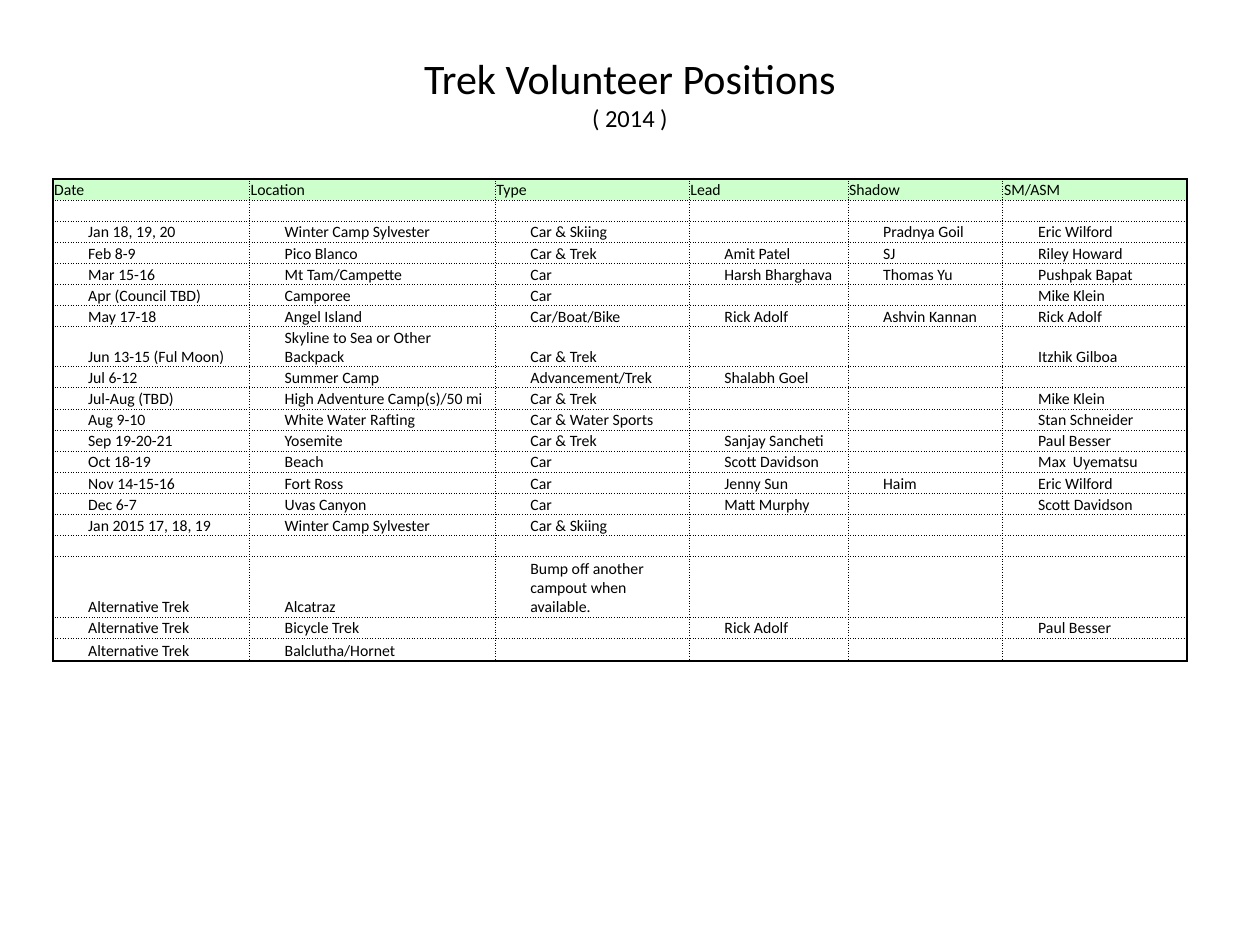
from lxml import etree
from pptx import Presentation
from pptx.dml.color import RGBColor
from pptx.enum import text
from pptx.oxml import ns
from pptx.util import Inches, Pt

BLACK = RGBColor(0x00, 0x00, 0x00)
GREEN = RGBColor(0xCC, 0xFF, 0xCC)
FONT = "Calibri"

WIDTHS = [1.56, 1.95, 1.54, 1.26, 1.23, 1.46]
TALL = {7: 0.32, 17: 0.48, 19: 0.18}
TREKS = [
    ["Date", "Location", "Type", "Lead", "Shadow", "SM/ASM"],
    [""] * 6,
    ["Jan 18, 19, 20", "Winter Camp Sylvester", "Car & Skiing", "", "Pradnya Goil", "Eric Wilford"],
    ["Feb 8-9", "Pico Blanco", "Car & Trek", "Amit Patel", "SJ", "Riley Howard"],
    ["Mar 15-16", "Mt Tam/Campette", "Car", "Harsh Bharghava", "Thomas Yu", "Pushpak Bapat"],
    ["Apr (Council TBD)", "Camporee", "Car", "", "", "Mike Klein"],
    ["May 17-18", "Angel Island", "Car/Boat/Bike", "Rick Adolf", "Ashvin Kannan", "Rick Adolf"],
    ["Jun 13-15 (Ful Moon)", "Skyline to Sea or Other Backpack", "Car & Trek", "", "", "Itzhik Gilboa"],
    ["Jul 6-12", "Summer Camp", "Advancement/Trek", "Shalabh Goel", "", ""],
    ["Jul-Aug (TBD)", "High Adventure Camp(s)/50 mi", "Car & Trek", "", "", "Mike Klein"],
    ["Aug 9-10", "White Water Rafting", "Car & Water Sports", "", "", "Stan Schneider"],
    ["Sep 19-20-21", "Yosemite", "Car & Trek", "Sanjay Sancheti", "", "Paul Besser"],
    ["Oct 18-19", "Beach", "Car", "Scott Davidson", "", "Max  Uyematsu"],
    ["Nov 14-15-16", "Fort Ross", "Car", "Jenny Sun", "Haim", "Eric Wilford"],
    ["Dec 6-7", "Uvas Canyon", "Car", "Matt Murphy", "", "Scott Davidson"],
    ["Jan 2015 17, 18, 19", "Winter Camp Sylvester", "Car & Skiing", "", "", ""],
    [""] * 6,
    ["Alternative Trek", "Alcatraz", "Bump off another campout when available.", "", "", ""],
    ["Alternative Trek", "Bicycle Trek", "", "Rick Adolf", "", "Paul Besser"],
    ["Alternative Trek", "Balclutha/Hornet", "", "", "", ""],
]


def style(run, size):
    run.font.name = FONT
    run.font.size = Pt(size)
    run.font.bold = False
    run.font.color.rgb = BLACK


def add_title(slide, left, top, width, height):
    box = slide.shapes.add_textbox(Inches(left), Inches(top), Inches(width), Inches(height))
    frame = box.text_frame
    frame.word_wrap = True
    frame.vertical_anchor = text.MSO_ANCHOR.MIDDLE
    frame.text = "Trek Volunteer Positions\v( 2014 )"
    para = frame.paragraphs[0]
    para.alignment = text.PP_ALIGN.CENTER
    for run, size in zip(para.runs, (24, 14)):
        style(run, size)


def add_edge(cell, side, outer):
    props = cell._tc.get_or_add_tcPr()
    line = etree.SubElement(props, ns.qn("a:ln" + side), w=str(Pt(1 if outer else 0.5)))
    fill = etree.SubElement(line, ns.qn("a:solidFill"))
    etree.SubElement(fill, ns.qn("a:srgbClr"), val=str(BLACK))
    etree.SubElement(line, ns.qn("a:prstDash"), val="solid" if outer else "sysDot")


def fill_cell(cell, words, head):
    cell.margin_left = Inches(0.01 if head else 0.28)
    cell.margin_right = cell.margin_top = Inches(0.01)
    cell.margin_bottom = 0
    cell.vertical_anchor = text.MSO_ANCHOR.BOTTOM
    para = cell.text_frame.paragraphs[0]
    if words:
        para.text = words
        style(para.runs[0], 9)
    else:
        etree.SubElement(para._p, ns.qn("a:endParaRPr"), sz="900")
    if head:
        cell.fill.solid()
        cell.fill.fore_color.rgb = GREEN
    else:
        cell.fill.background()


def add_treks(slide, left, top, width, height):
    count, cols = len(TREKS), len(WIDTHS)
    table = slide.shapes.add_table(
        count, cols, Inches(left), Inches(top), Inches(width), Inches(height)
    ).table
    table.first_row = table.horz_banding = False
    base = (height - sum(TALL.values())) / (count - len(TALL))
    for col, size in zip(table.columns, WIDTHS):
        col.width = Inches(width * size / sum(WIDTHS))
    for i, row in enumerate(TREKS):
        table.rows[i].height = Inches(TALL.get(i, base))
        for j, words in enumerate(row):
            cell = table.cell(i, j)
            edges = {"L": j == 0, "R": j == cols - 1, "T": i == 0, "B": i == count - 1}
            for side, outer in edges.items():
                add_edge(cell, side, outer)
            fill_cell(cell, words, i == 0)


def main():
    deck = Presentation()
    deck.slide_width, deck.slide_height = Inches(10), Inches(7.5)
    slide = deck.slides.add_slide(deck.slide_layouts[6])
    add_title(slide, 0.5, 0.3, 9, 0.87)
    add_treks(slide, 0.42, 1.42, 9, 3.83)
    deck.save("out.pptx")


if __name__ == "__main__":
    main()
